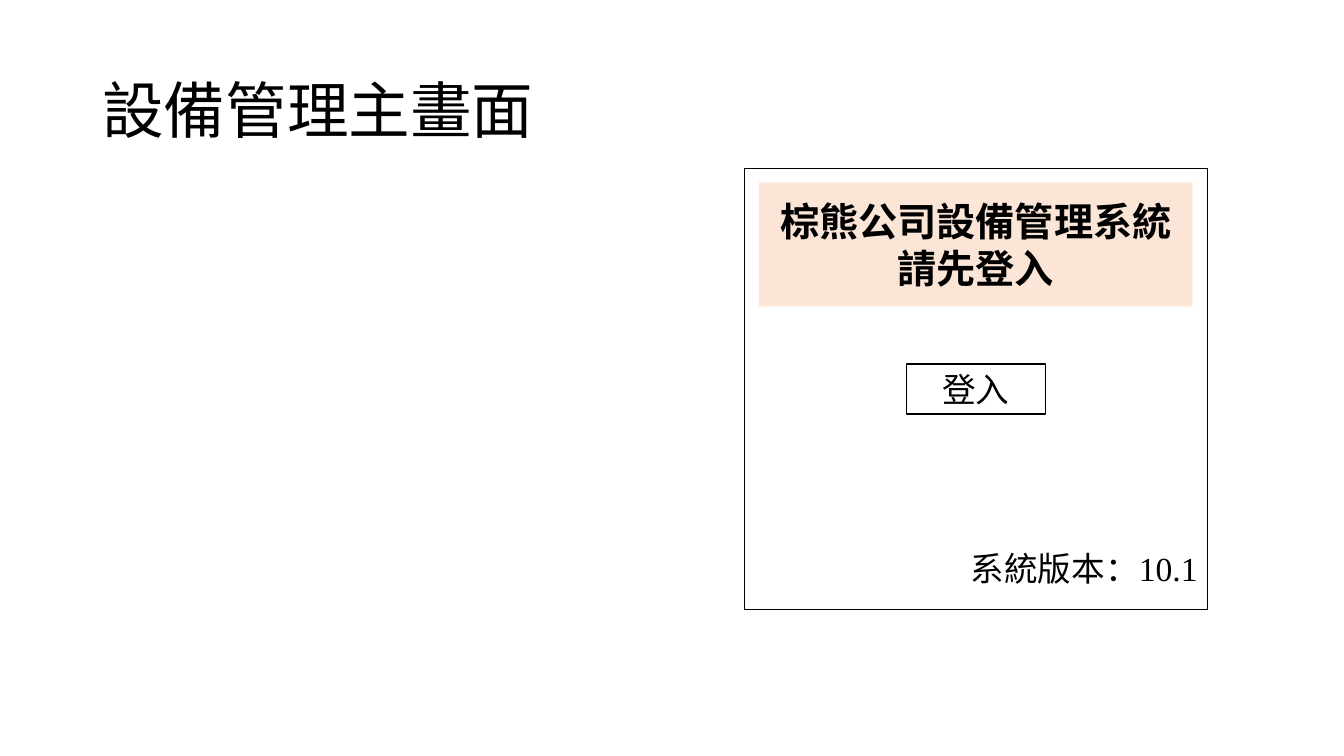
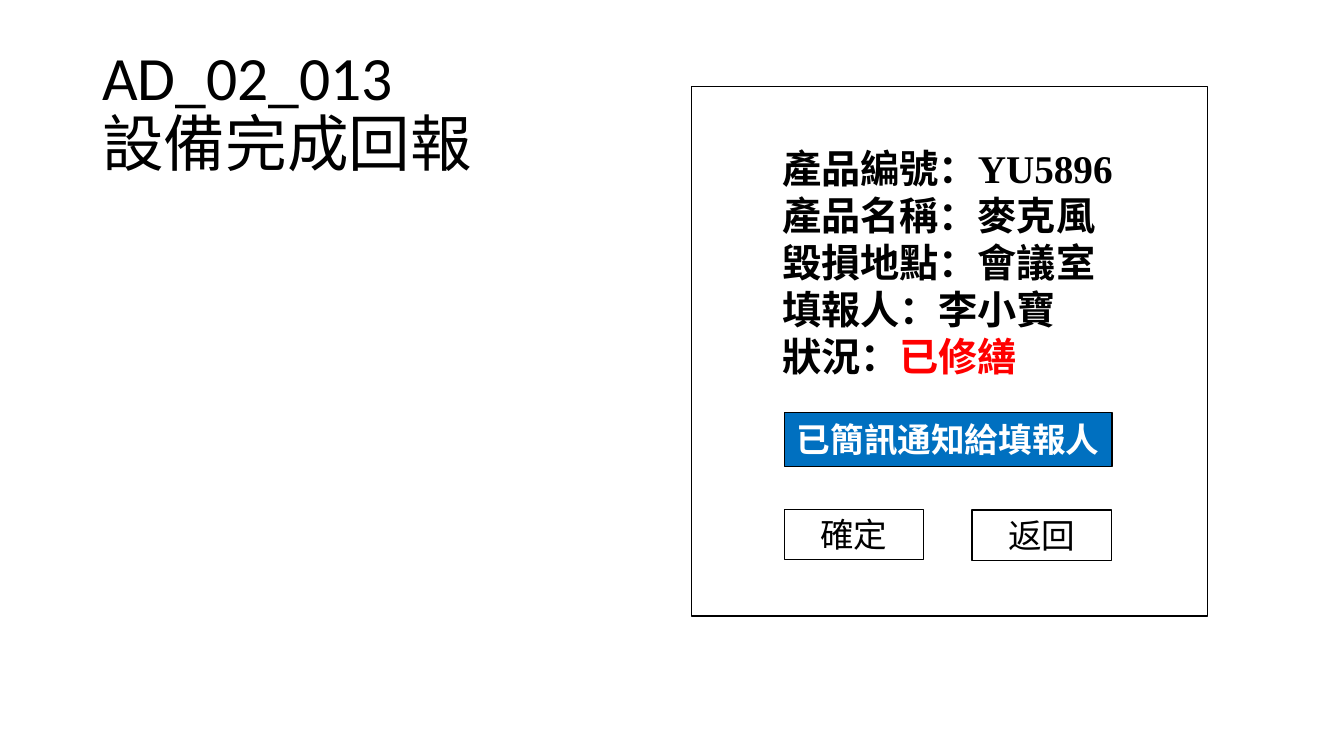
from pptx import Presentation
from pptx.dml.color import RGBColor
from pptx.enum import shapes, text
from pptx.oxml.ns import qn
from pptx.util import Pt
from lxml import etree

COLORS = {"ink": "000000", "white": "FFFFFF", "banner": "FBE5D6",
          "notice": "0070C0", "alert": "FF0000"}
CJK, SERIF, SANS = "Noto Sans CJK SC", "Times New Roman", "Calibri"
ALIGN, ANCHOR = text.PP_ALIGN, text.MSO_ANCHOR

TITLE = {"size": 44, "align": ALIGN.LEFT, "spacing": 0.9}
FRAME = {"line": "ink"}
BUTTON = {"fill": "white", "line": "ink"}
BANNER = {"fill": "banner", "size": 28, "font": CJK, "bold": True}
NOTICE = {"fill": "notice", "line": "ink", "font": CJK, "bold": True, "color": "white"}
VERSION = {"font": SERIF, "align": ALIGN.RIGHT, "anchor": ANCHOR.TOP}
DETAILS = {"size": 28, "font": SERIF, "bold": True, "align": ALIGN.JUSTIFY}
BUTTON_W, BUTTON_H = 99.4, 36


def rgb(name):
    return RGBColor.from_string(COLORS[name])


def add_box(s, rect, lines, fill=None, line=None, size=24, font=SANS, bold=False,
            color="ink", align=ALIGN.CENTER, anchor=ANCHOR.MIDDLE, spacing=1.0):
    """Add a rectangle or text box; each line is a list of (text, color or None) runs."""
    rect = [Pt(v) for v in rect]
    if fill or line:
        sp = s.shapes.add_shape(shapes.MSO_SHAPE.RECTANGLE, *rect)
        sp.shadow.inherit = False
    else:
        sp = s.shapes.add_textbox(*rect)
    if fill:
        sp.fill.solid()
        sp.fill.fore_color.rgb = rgb(fill)
    else:
        sp.fill.background()
    if line:
        sp.line.color.rgb = rgb(line)
        sp.line.width = Pt(1)
    else:
        sp.line.fill.background()
    tf = sp.text_frame
    tf.word_wrap = True
    tf.vertical_anchor = anchor
    for i, runs in enumerate(lines):
        p = tf.add_paragraph() if i else tf.paragraphs[0]
        p.alignment = align
        p.line_spacing = spacing
        for words, run_color in runs:
            r = p.add_run()
            r.text = words
            for key, value in {"size": Pt(size), "name": font, "bold": bold}.items():
                setattr(r.font, key, value)
            r.font.color.rgb = rgb(run_color or color)
            east_asian = etree.SubElement(r.font._element, qn("a:ea"))
            east_asian.set("typeface", CJK)


prs = Presentation()
prs.slide_width, prs.slide_height = Pt(960), Pt(540)

login = [
    ((532, 120.2, 330.5, 315.4), [], FRAME),
    ((542.2, 130.3, 309.6, 88.6),
     [[("棕熊公司設備管理系統", None)], [("請先登入", None)]], BANNER),
    ((647.3, 259.9, BUTTON_W, BUTTON_H), [[("登入", None)]], BUTTON),
    ((532, 388.1, 330.5, 36), [[("系統版本：10.1", None)]], VERSION),
]
report = [
    ((493.9, 61.9, 368.6, 378), [], FRAME),
    ((551.5, 80.6, 301, 212.4),
     [[("產品編號：YU5896", None)], [("產品名稱：麥克風", None)],
      [("毀損地點：會議室", None)], [("填報人：李小寶", None)],
      [("狀況：", None), ("已修繕", "alert")]], DETAILS),
    ((560.2, 294.5, 234, 38.9), [[("已簡訊通知給填報人", None)]], NOTICE),
    ((560.2, 363.8, BUTTON_W, BUTTON_H), [[("確定", None)]], BUTTON),
    ((694.4, 364.4, BUTTON_W, BUTTON_H), [[("返回", None)]], BUTTON),
]
slides = [
    (["設備管理主畫面"], login),
    (["AD_02_013", "設備完成回報"], report),
]

for title, boxes in slides:
    s = prs.slides.add_slide(prs.slide_layouts[6])
    add_box(s, (66, 28.8, 828, 104.4), [[(words, None)] for words in title], **TITLE)
    for rect, lines, style in boxes:
        add_box(s, rect, lines, **style)

prs.save("out.pptx")
